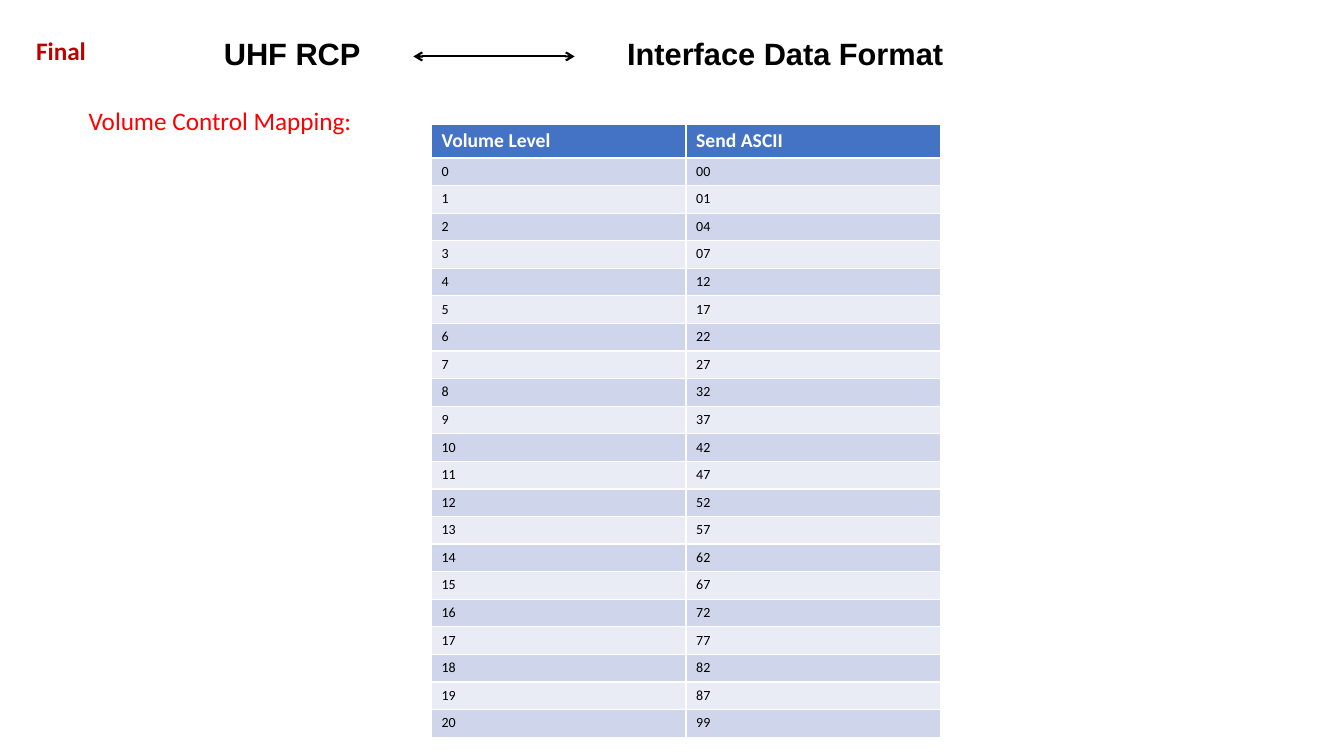
from pptx import Presentation, util as u
from pptx.dml.color import RGBColor
from pptx.enum import shapes, text
from pptx.oxml.ns import qn
from lxml import etree


def rgb(hex_color):
    return RGBColor.from_string(hex_color)


def style(p, color, **font):
    """Set the colour and font attributes of every run in a paragraph."""
    for r in p.runs:
        r.font.color.rgb = rgb(color)
        for name, value in font.items():
            setattr(r.font, name, value)


prs = Presentation()
prs.slide_width, prs.slide_height = u.Inches(13.33), u.Inches(7.5)
s = prs.slides.add_slide(prs.slide_layouts[5])

# Title: the two halves are set apart by one-inch tabs
title = s.shapes.title
box = dict(left=2.12, top=0.34, width=9, height=0.43)
for name, value in box.items():
    setattr(title, name, u.Inches(value))
tf = title.text_frame
tf.text = "UHF RCP\t\t\tInterface Data Format"
tf.vertical_anchor = text.MSO_ANCHOR.MIDDLE
tf.auto_size = text.MSO_AUTO_SIZE.NONE
p = tf.paragraphs[0]
p.alignment = text.PP_ALIGN.LEFT
p.line_spacing = 0.9
p._p.get_or_add_pPr().set("defTabSz", str(u.Inches(1)))
style(p, "000000", name="Arial", size=u.Pt(22), bold=True)

# Two-way arrow between the halves of the title
arrow = s.shapes.add_connector(shapes.MSO_CONNECTOR.STRAIGHT, u.Inches(4.1),
                               u.Inches(0.56), u.Inches(5.7), u.Inches(0.56))
arrow.line.color.rgb = rgb("000000")
arrow.line.width = u.Pt(1.5)
ln = arrow.line._get_or_add_ln()
for end in ("a:headEnd", "a:tailEnd"):
    etree.SubElement(ln, qn(end), type="arrow")
etree.SubElement(arrow._element.spPr, qn("a:effectLst"))

# Volume table: levels 0 to 20, rising by five from level 3 to 19
codes = [0, 1, 4, *range(7, 88, 5), 99]
rows = [("Volume Level", "Send ASCII")]
rows += [(str(level), f"{code:02}") for level, code in enumerate(codes)]
header_height, table_height = 0.31, 6.06
row_height = (table_height - header_height) / len(codes)
table = s.shapes.add_table(len(rows), 2, u.Inches(4.28), u.Inches(1.23),
                           u.Inches(5.05), u.Inches(table_height)).table
for i, row in enumerate(rows):
    table.rows[i].height = u.Inches(row_height if i else header_height)
    if i == 0:
        fill, color, size = "4472C4", "FFFFFF", 14
    else:
        fill, color, size = "CFD5EA" if i % 2 else "E9EBF5", "000000", 10
    for j, value in enumerate(row):
        cell = table.cell(i, j)
        cell.text = value
        cell.fill.solid()
        cell.fill.fore_color.rgb = rgb(fill)
        style(cell.text_frame.paragraphs[0], color, name="Calibri",
              size=u.Pt(size), bold=i == 0)

# Labels at the left
labels = [
    ("Volume Control Mapping:", 0.78, 1, 2.84, "FF0000", False),
    ("Final", 0.26, 0.3, 0.76, "C00000", True),
]
for label, left, top, width, color, bold in labels:
    sp = s.shapes.add_textbox(u.Inches(left), u.Inches(top),
                              u.Inches(width), u.Inches(0.4))
    tf = sp.text_frame
    tf.word_wrap = False
    tf.auto_size = text.MSO_AUTO_SIZE.SHAPE_TO_FIT_TEXT
    tf.text = label
    style(tf.paragraphs[0], color, name="Calibri", size=u.Pt(18), bold=bold)

prs.save("out.pptx")
